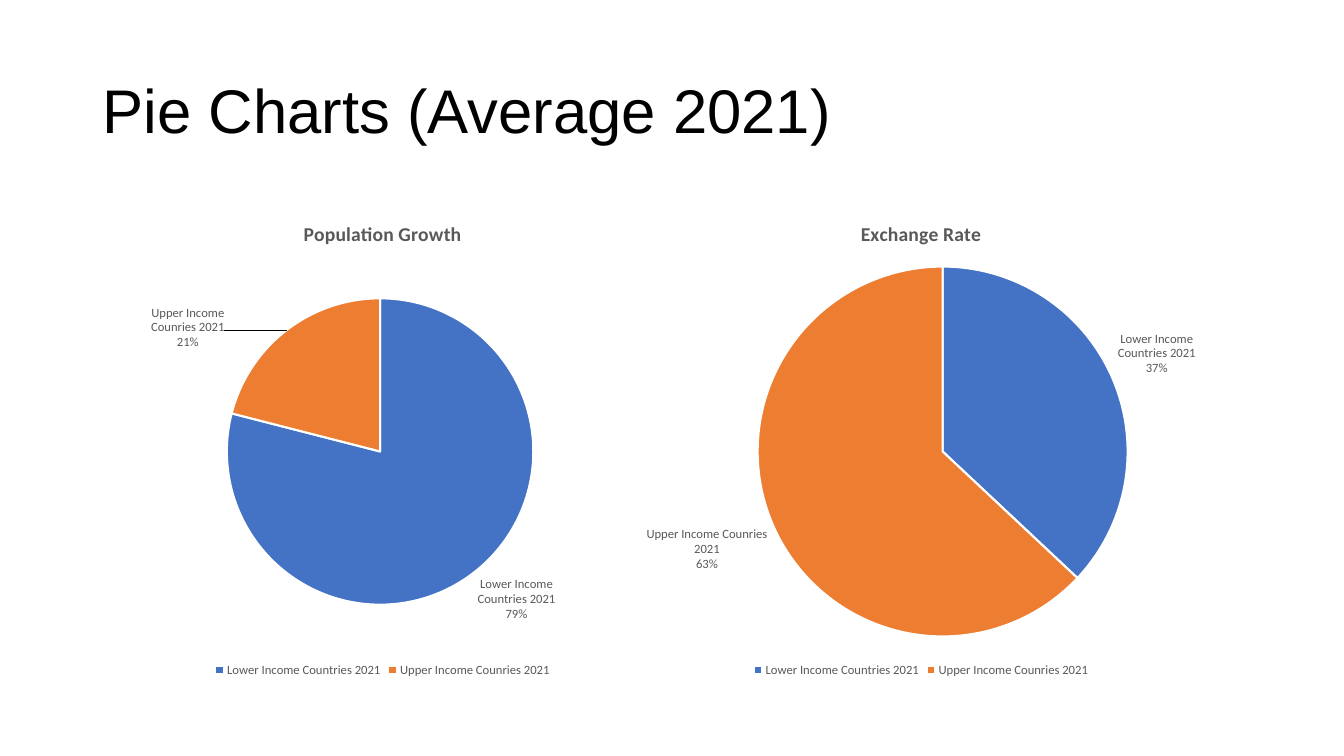
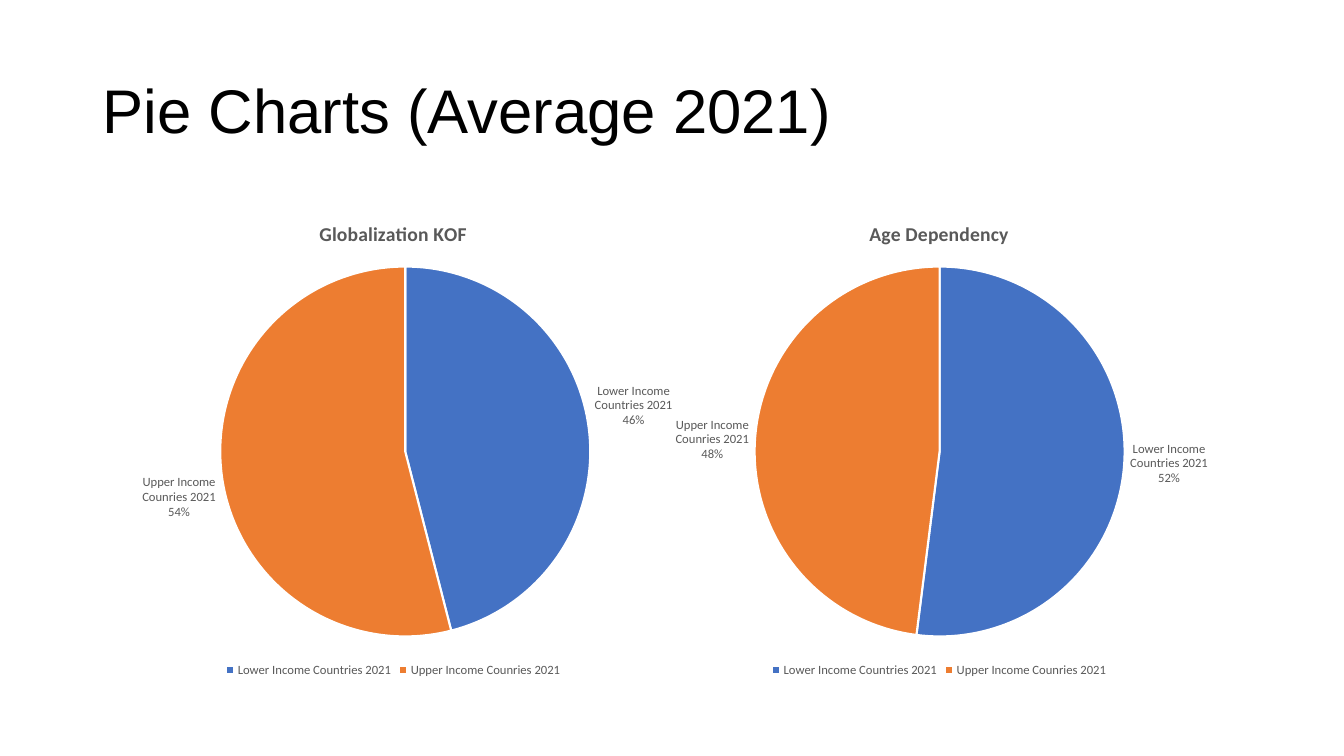
"""Build two slides of paired pie charts comparing income groups."""
from copy import deepcopy

from pptx import Presentation
from pptx.chart.data import CategoryChartData
from pptx.dml.color import RGBColor
from pptx.enum.chart import XL_CHART_TYPE as ChartType
from pptx.enum.chart import XL_LABEL_POSITION as LabelPosition
from pptx.enum.chart import XL_LEGEND_POSITION as LegendPosition
from pptx.enum.text import MSO_ANCHOR as Anchor
from pptx.enum.text import MSO_AUTO_SIZE as AutoSize
from pptx.enum.text import PP_ALIGN as Align
from pptx.oxml import parse_xml
from pptx.oxml.ns import nsdecls
from pptx.util import Inches, Pt

COLORS = {
    "background": "FFFFFF",
    "title": "000000",
    "chart_text": "595959",
    "lower": "4472C4",
    "upper": "ED7D31",
}
CATEGORIES = ["Lower Income Countries 2021", "Upper Income Counries 2021"]
TITLE = "Pie Charts (Average 2021)"
CHART_TOP, CHART_HEIGHT = 2, 4.76
PIE_MIDDLE = 4.48

SLIDES = [
    [
        dict(name="Population Growth", values=(79, 21), left=0.92, width=5.75,
             center=3.77, diameter=3.04, upper_label_shift=(-0.1, 0.05)),
        dict(name="Exchange Rate", values=(37, 63), left=5.85, width=6.57,
             center=9.35),
    ],
    [
        dict(name="Globalization KOF", values=(46, 54), left=0.92, width=5.96,
             center=4.02),
        dict(name="Age Dependency", values=(52, 48), left=6.21, width=6.21,
             center=9.32),
    ],
]


def color(key):
    return RGBColor.from_string(COLORS[key])


def style_font(font, size=9, fill="chart_text", bold=False, name="Calibri"):
    font.size, font.bold, font.name = Pt(size), bold, name
    font.color.rgb = color(fill)


def write(text_frame, text, align=None, line_spacing=None, **font_format):
    paragraph = text_frame.paragraphs[0]
    paragraph.alignment = align
    paragraph.line_spacing = line_spacing
    run = paragraph.add_run()
    run.text = text
    style_font(run.font, **font_format)


def layout_xml(inner=False, **lengths):
    target = '<c:layoutTarget val="inner"/>' if inner else ""
    modes = '<c:xMode val="edge"/><c:yMode val="edge"/>' if inner else ""
    sizes = "".join(f'<c:{key} val="{value:.4f}"/>' for key, value in lengths.items())
    return parse_xml(f'<c:layout {nsdecls("c")}><c:manualLayout>{target}{modes}'
                     f"{sizes}</c:manualLayout></c:layout>")


class Deck:
    def __init__(self):
        self.presentation = Presentation()
        self.presentation.slide_width = Inches(13.33)
        self.presentation.slide_height = Inches(7.5)
        self.slide = None

    def add_slide(self, title):
        layout = self.presentation.slide_layouts.get_by_name("Title Only")
        self.slide = self.presentation.slides.add_slide(layout)
        background = self.slide.background.fill
        background.solid()
        background.fore_color.rgb = color("background")
        shape = self.slide.shapes.title
        shape.left, shape.top = Inches(0.92), Inches(0.4)
        shape.width, shape.height = Inches(11.5), Inches(1.45)
        frame = shape.text_frame
        frame.auto_size, frame.word_wrap = AutoSize.NONE, True
        frame.vertical_anchor = Anchor.MIDDLE
        write(frame, title, align=Align.LEFT, line_spacing=0.9,
              size=44, fill="title", name="Arial")

    def add_pie(self, name, values, left, width, center, diameter=3.67,
                upper_label_shift=None):
        data = CategoryChartData()
        data.categories = CATEGORIES
        data.add_series(name, values)
        chart = self.slide.shapes.add_chart(
            ChartType.PIE, Inches(left), Inches(CHART_TOP),
            Inches(width), Inches(CHART_HEIGHT), data).chart
        style_font(chart.font, size=10, fill="title")
        chart.has_title = True
        write(chart.chart_title.text_frame, name, size=14, bold=True)
        chart.chart_title.include_in_layout = False
        chart.has_legend = True
        chart.legend.position = LegendPosition.BOTTOM
        chart.legend.include_in_layout = False
        style_font(chart.legend.font)
        plot = chart.plots[0]
        plot.vary_by_categories = True
        series = plot.series[0]
        for index, key in enumerate(("lower", "upper")):
            point = series.points[index].format
            point.fill.solid()
            point.fill.fore_color.rgb = color(key)
            point.line.color.rgb = color("background")
            point.line.width = Pt(1.5)
        self.label_slices(chart, series, upper_label_shift)
        self.place_pie(chart, left, width, center, diameter)

    def label_slices(self, chart, series, upper_label_shift):
        labels = series.data_labels
        labels.show_category_name = labels.show_percentage = True
        labels.show_value = False
        labels.position = LabelPosition.OUTSIDE_END
        style_font(labels.font)
        group = chart.element.xpath(".//c:ser/c:dLbls")[0]
        separator = parse_xml(f'<c:separator {nsdecls("c")}>\n</c:separator>')
        group.xpath("c:showBubbleSize|c:showPercent")[-1].addnext(separator)
        if upper_label_shift:
            label = parse_xml(f'<c:dLbl {nsdecls("c")}><c:idx val="1"/></c:dLbl>')
            x, y = upper_label_shift
            label.append(layout_xml(x=x, y=y))
            for child in group.xpath("*[not(self::c:showLeaderLines)]"):
                label.append(deepcopy(child))
            group.insert(0, label)

    def place_pie(self, chart, left, width, center, diameter):
        plot_area = chart.element.xpath(".//c:plotArea")[0]
        for layout in plot_area.xpath("c:layout"):
            plot_area.remove(layout)
        plot_area.insert(0, layout_xml(
            inner=True,
            x=(center - diameter / 2 - left) / width,
            y=(PIE_MIDDLE - diameter / 2 - CHART_TOP) / CHART_HEIGHT,
            w=diameter / width,
            h=diameter / CHART_HEIGHT))


def main():
    deck = Deck()
    for pies in SLIDES:
        deck.add_slide(TITLE)
        for pie in pies:
            deck.add_pie(**pie)
    deck.presentation.save("out.pptx")


if __name__ == "__main__":
    main()
